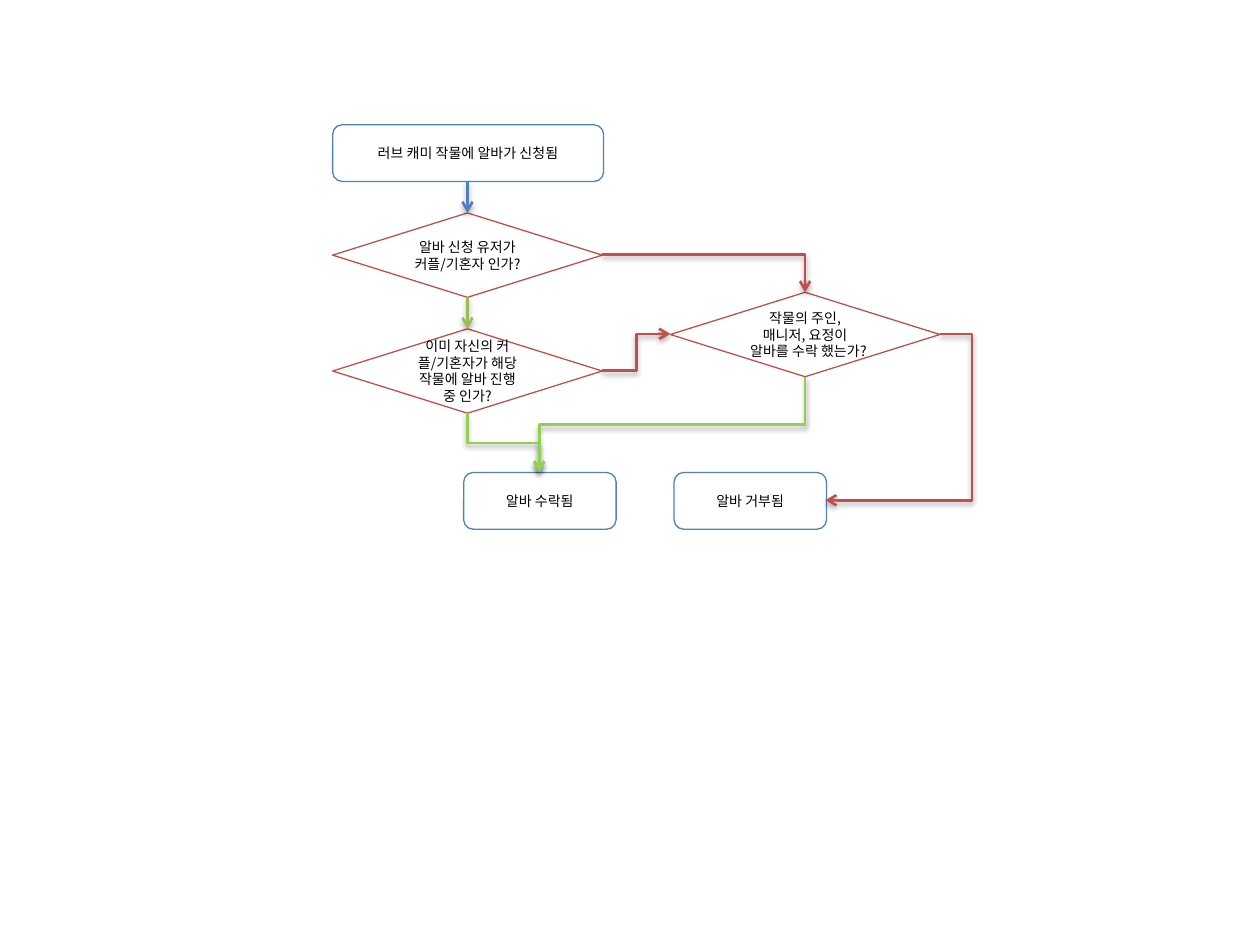
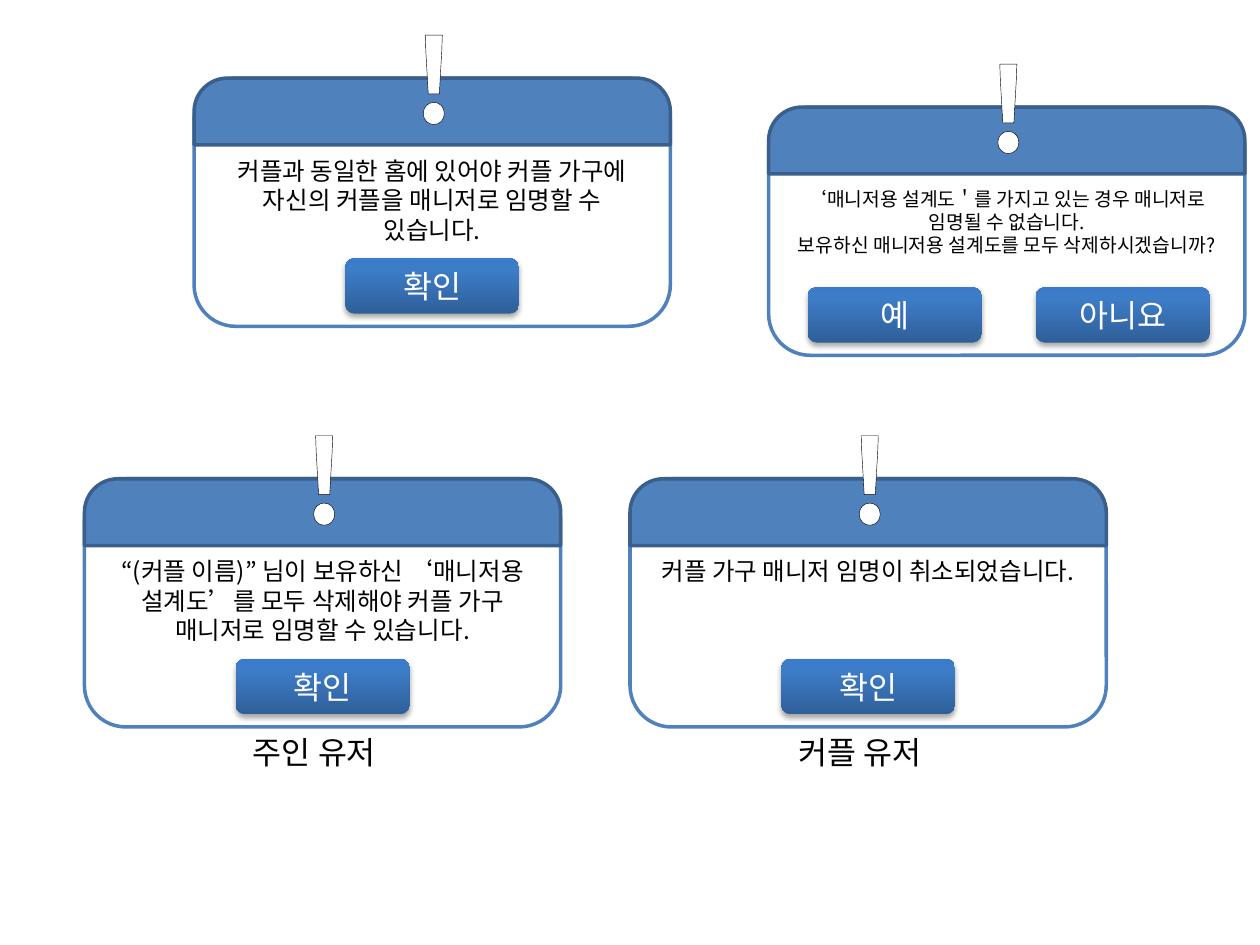
from pptx import Presentation
from pptx.dml.color import RGBColor
from pptx.enum.shapes import MSO_CONNECTOR as Link, MSO_SHAPE as Form
from pptx.enum.text import MSO_ANCHOR as Anchor, MSO_AUTO_SIZE as Fit, PP_ALIGN as Align
from pptx.oxml import parse_xml
from pptx.oxml.ns import nsdecls, qn
from pptx.util import Inches, Pt

# Shared style
FONT = "Noto Sans CJK KR"
WHITE = RGBColor(0xFF, 0xFF, 0xFF)
BLACK = RGBColor(0x00, 0x00, 0x00)
BLUE = RGBColor(0x4F, 0x81, 0xBD)
NAVY = RGBColor(0x3A, 0x5F, 0x8C)
RED = RGBColor(0xC0, 0x50, 0x4D)
OLIVE = RGBColor(0x9B, 0xBB, 0x59)
GREEN = RGBColor(0x92, 0xD0, 0x50)
BUTTON_STOPS = ((0, RGBColor(0x2F, 0x5F, 0x99)),
                (80, RGBColor(0x3D, 0x7C, 0xC7)),
                (100, RGBColor(0x3A, 0x7C, 0xCB)))
COLUMNS, ROWS = 100, 75
CARD_WIDTH, CARD_HEIGHT, BAND_HEIGHT = 37.8, 19.7, 5.3
BUTTON_WIDTH, BUTTON_HEIGHT = 13.8, 4.4


def element(markup):
    """Parse drawing markup, adding the namespace to its root tag."""
    tag, rest = markup[1:].split(" ", 1)
    return parse_xml(f"<{tag} {nsdecls('a')} {rest}")


def assign(target, values):
    for name, value in values.items():
        setattr(target, name, value)


class Board:
    """Draws on the current slide, in columns and rows of a grid."""

    def __init__(self, deck):
        self.deck = deck
        self.column = deck.slide_width / COLUMNS
        self.row = deck.slide_height / ROWS
        self.shapes = None

    def new_slide(self):
        self.shapes = self.deck.slides.add_slide(self.deck.slide_layouts[6]).shapes

    def grid(self, *lengths):
        units = (self.column, self.row)
        return [round(length * units[i % 2]) for i, length in enumerate(lengths)]

    def set_text(self, frame, text, size, color, align, **layout):
        frame.text = text
        assign(frame, layout)
        for paragraph in frame.paragraphs:
            paragraph.alignment = align
            for run in paragraph.runs:
                assign(run.font, {"size": Pt(size), "name": FONT})
                run.font.color.rgb = color
                latin = run._r.rPr.find(qn("a:latin"))
                latin.addnext(element(f'<a:ea typeface="{FONT}"/>'))

    def shape(self, form, at, fill=WHITE, line=None, width=0.75):
        drawn = self.shapes.add_shape(form, *self.grid(*at))
        drawn.shadow.inherit = False
        if fill:
            drawn.fill.solid()
            drawn.fill.fore_color.rgb = fill
        if line:
            drawn.line.color.rgb = line
            drawn.line.width = Pt(width)
        else:
            drawn.line.fill.background()
        return drawn

    def label(self, at, text, size=18):
        box = self.shapes.add_textbox(*self.grid(*at))
        self.set_text(box.text_frame, text, size, BLACK, Align.LEFT,
                      word_wrap=False, auto_size=Fit.SHAPE_TO_FIT_TEXT)
        return box

    def cast_shadow(self, effects):
        effects.append(element(
            '<a:outerShdw blurRad="40000" dist="23000" dir="5400000" rotWithShape="0">'
            f'<a:srgbClr val="{BLACK}"><a:alpha val="35000"/></a:srgbClr></a:outerShdw>'))

    # Flow chart parts
    def step(self, form, at, text, line):
        drawn = self.shape(form, at, line=line)
        self.set_text(drawn.text_frame, text, 8, BLACK, Align.CENTER,
                      word_wrap=True, vertical_anchor=Anchor.MIDDLE)

    def arrow(self, start, end, color, bend=None, upright=False, corner=False):
        """Straight without bend; upright arrows leave their start vertically."""
        (x1, y1), (x2, y2) = start, end
        turn = None
        if upright:
            # A quarter turn swaps the sides of the box around the same centre
            turn = 90 if x2 < x1 else 270
            mid_x, mid_y = (x1 + x2) / 2, (y1 + y2) / 2
            half_w, half_h = abs(y2 - y1) / 2, abs(x2 - x1) / 2
            if turn == 270:
                half_w = -half_w
            x1, x2 = mid_x - half_w, mid_x + half_w
            y1, y2 = mid_y - half_h, mid_y + half_h
        kind = Link.STRAIGHT if bend is None and not corner else Link.ELBOW
        link = self.shapes.add_connector(kind, *self.grid(x1, y1, x2, y2))
        link.line.color.rgb = color
        link.line.width = Pt(1.5)
        properties = link._element.spPr
        if turn:
            properties.find(qn("a:xfrm")).set("rot", str(turn * 60000))
        geometry = properties.find(qn("a:prstGeom"))
        if corner:
            geometry.set("prst", "bentConnector2")
        elif bend is not None:
            geometry.find(qn("a:avLst")).append(
                element(f'<a:gd name="adj1" fmla="val {round(bend * 100000)}"/>'))
        properties.find(qn("a:ln")).append(element('<a:tailEnd type="arrow"/>'))
        effects = element('<a:effectLst />')
        properties.append(effects)
        self.cast_shadow(effects)

    # Dialog parts
    def button(self, left, top, text):
        drawn = self.shape(Form.ROUNDED_RECTANGLE,
                           (left, top, BUTTON_WIDTH, BUTTON_HEIGHT), fill=None)
        stops = "".join(f'<a:gs pos="{share * 1000}"><a:srgbClr val="{color}"/></a:gs>'
                        for share, color in BUTTON_STOPS)
        properties = drawn._element.spPr
        properties.find(qn("a:prstGeom")).addnext(element(
            f'<a:gradFill rotWithShape="1"><a:gsLst>{stops}</a:gsLst>'
            '<a:lin ang="16200000" scaled="0"/></a:gradFill>'))
        self.cast_shadow(properties.find(qn("a:effectLst")))
        self.set_text(drawn.text_frame, text, 18, WHITE, Align.CENTER,
                      word_wrap=True, vertical_anchor=Anchor.MIDDLE)

    def dialog(self, left, top, message, answers, size=14, inset=0.52, owner=None):
        card = self.shape(Form.ROUNDED_RECTANGLE, (left, top, CARD_WIDTH, CARD_HEIGHT),
                          line=BLUE, width=2)
        self.set_text(card.text_frame, message, size, BLACK, Align.CENTER, word_wrap=True,
                      vertical_anchor=Anchor.TOP, margin_top=Inches(inset))
        for offset, answer in answers:
            self.button(left + offset, top + 14.3, answer)
        band = self.shape(Form.ROUND_2_SAME_RECTANGLE,
                          (left, top, CARD_WIDTH, BAND_HEIGHT), BLUE, NAVY, 2)
        band.adjustments[0] = 0.5
        mark = self.label((left + 16.35, top - 6.1, 5, 12.1), "!", 66)
        font = mark.text_frame.paragraphs[0].runs[0].font
        font.bold = True
        font.color.rgb = WHITE
        font._element.insert(0, element(
            f'<a:ln w="{Pt(0.75)}"><a:solidFill><a:srgbClr val="{BLACK}"/>'
            '</a:solidFill></a:ln>'))
        if owner:
            self.label((left + 12.4, top + CARD_HEIGHT, 13, 4), owner)


def draw_request_flow(board):
    board.new_slide()
    box, decision = Form.ROUNDED_RECTANGLE, Form.FLOWCHART_DECISION
    # Steps and decisions
    for form, at, text, line in (
        (box, (26.4, 9.9, 21.5, 4.5), "러브 캐미 작물에 알바가 신청됨", BLUE),
        (box, (36.8, 37.5, 12.1, 4.5), "알바 수락됨", BLUE),
        (box, (53.5, 37.5, 12.1, 4.5), "알바 거부됨", BLUE),
        (decision, (26.4, 16.9, 21.4, 6.7), "알바 신청 유저가 커플/기혼자 인가?", RED),
        (decision, (26.4, 26.1, 21.4, 6.7),
         "이미 자신의 커플/기혼자가 해당 작물에 알바 진행 중 인가?", RED),
        (decision, (53.2, 23.2, 21.4, 6.7),
         "작물의 주인, 매니저, 요정이 알바를 수락 했는가?", RED),
    ):
        board.step(form, at, text, line)
    # Arrows
    accepted = (42.8, 37.5)
    board.arrow((37.1, 14.35), (37.1, 16.9), BLUE)
    board.arrow((37.1, 23.6), (37.1, 26.1), OLIVE)
    board.arrow((47.8, 20.2), (63.9, 23.2), RED, corner=True)
    board.arrow((47.8, 29.4), (53.2, 26.5), RED, bend=0.5)
    board.arrow((63.9, 29.9), accepted, GREEN, bend=0.5, upright=True)
    board.arrow((37.1, 32.8), accepted, GREEN, bend=0.5, upright=True)
    board.arrow((74.6, 26.5), (65.5, 39.7), RED, bend=-0.28)


def draw_manager_dialogs(board):
    board.new_slide()
    confirm = [((CARD_WIDTH - BUTTON_WIDTH) / 2, "확인")]
    board.dialog(15.4, 6.2, "커플과 동일한 홈에 있어야 커플 가구에 자신의 커플을 "
                 "매니저로 임명할 수 있습니다.", confirm)
    board.dialog(6.7, 38, "“(커플 이름)” 님이 보유하신 ‘매니저용 설계도’를 모두 "
                 "삭제해야 커플 가구 매니저로 임명할 수 있습니다.", confirm, owner="주인 유저")
    board.dialog(50, 38, "커플 가구 매니저 임명이 취소되었습니다.", confirm, owner="커플 유저")
    board.dialog(61, 8.5, "‘매니저용 설계도＇를 가지고 있는 경우 매니저로 임명될 수 없습니다.\n"
                 "보유하신 매니저용 설계도를 모두 삭제하시겠습니까?",
                 [(3.1, "예"), (21.2, "아니요")], size=11, inset=0.54)


def main():
    deck = Presentation()
    assign(deck, {"slide_width": Inches(10), "slide_height": Inches(7.5)})
    board = Board(deck)
    draw_request_flow(board)
    draw_manager_dialogs(board)
    deck.save("out.pptx")


if __name__ == "__main__":
    main()
